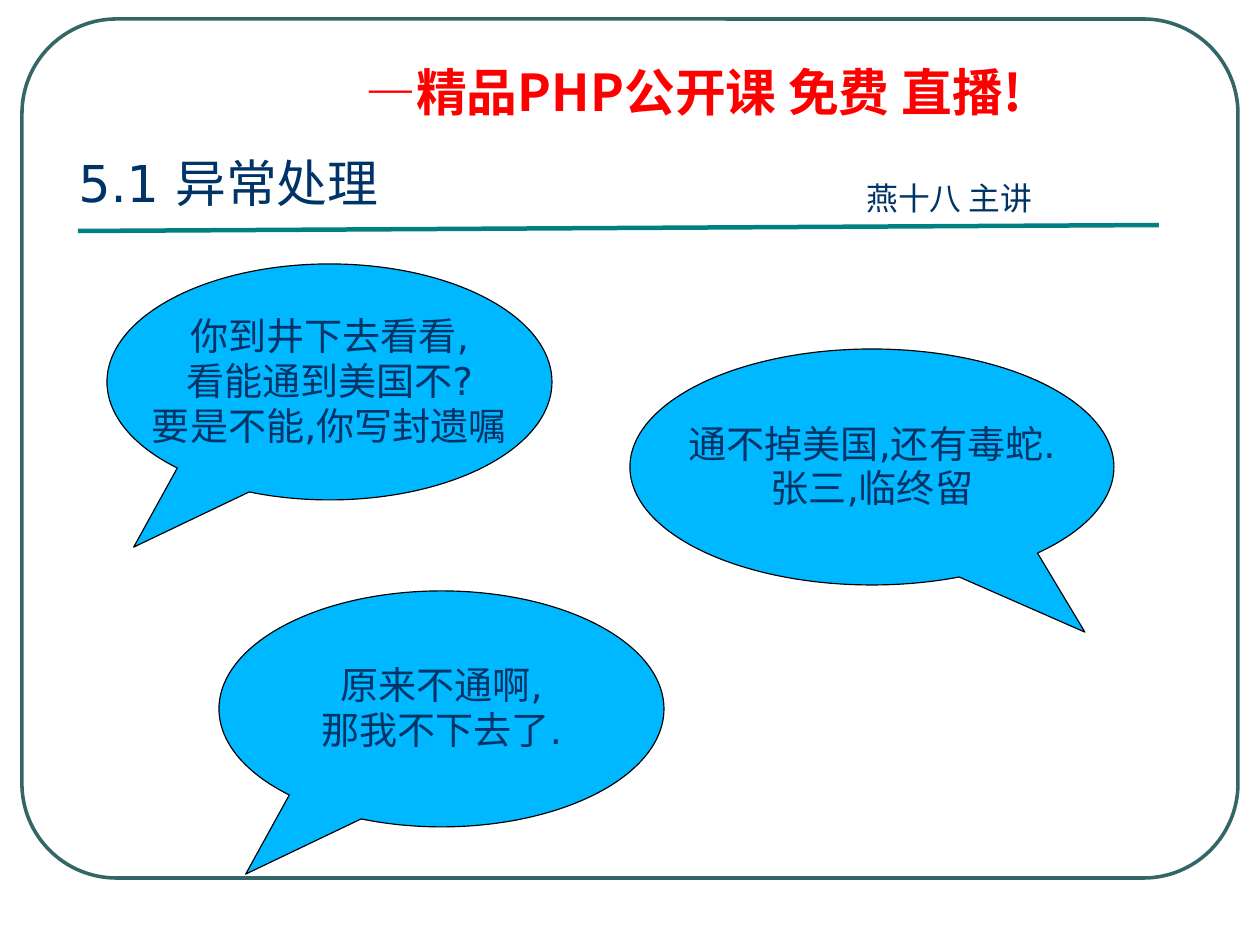
from lxml.etree import SubElement
from pptx import Presentation
from pptx.dml.color import RGBColor
from pptx.enum.shapes import MSO_CONNECTOR as Connector, MSO_SHAPE as Shape
from pptx.enum.text import MSO_ANCHOR as Anchor, PP_ALIGN as Align
from pptx.oxml.ns import qn
from pptx.util import Emu, Pt

PX = 8000  # EMU in one px
LATIN_FONT = "DejaVu Sans"
CHINESE_FONT = "Noto Sans CJK SC"

FRAME_GREEN = RGBColor(0x33, 0x66, 0x66)
RULE_TEAL = RGBColor(0x00, 0x80, 0x80)
BANNER_RED = RGBColor(0xFF, 0x00, 0x00)
TEXT_NAVY = RGBColor(0x00, 0x33, 0x66)
BUBBLE_BLUE = RGBColor(0x00, 0xB8, 0xFF)
BLACK = RGBColor(0x00, 0x00, 0x00)


def px(*lengths):
    return [Emu(length * PX) for length in lengths]


def write_lines(frame, lines, size, font=LATIN_FONT, color=TEXT_NAVY,
                bold=False, align=Align.LEFT, spacing=0.98):
    """Write one paragraph per line, with a Chinese font for Chinese letters."""
    for index, line in enumerate(lines):
        paragraph = frame.add_paragraph() if index else frame.paragraphs[0]
        paragraph.alignment = align
        paragraph.line_spacing = spacing
        run = paragraph.add_run()
        run.text = line
        run.font.size = Pt(size)
        run.font.bold = bold
        run.font.color.rgb = color
        run.font.name = font
        SubElement(run.font._element, qn("a:ea"), typeface=CHINESE_FONT)


def add_text(slide, box, text, size, anchor=Anchor.TOP, **style):
    frame = slide.shapes.add_textbox(*px(*box)).text_frame
    frame.word_wrap = True
    frame.vertical_anchor = anchor
    write_lines(frame, [text], size, **style)


def add_outlined_shape(slide, kind, box, line_color, line_width):
    shape = slide.shapes.add_shape(kind, *px(*box))
    shape.shadow.inherit = False
    shape.fill.background()
    shape.line.color.rgb = line_color
    shape.line.width = Pt(line_width)
    return shape


def add_frame(slide):
    frame = add_outlined_shape(slide, Shape.ROUNDED_RECTANGLE,
                               (22, 19, 1216, 859), FRAME_GREEN, 2.25)
    frame.adjustments[0] = 0.11


def add_rule(slide, start, end):
    rule = slide.shapes.add_connector(Connector.STRAIGHT, *px(*start, *end))
    rule.line.color.rgb = RULE_TEAL
    rule.line.width = Pt(2.83)
    SubElement(rule._element.spPr, qn("a:effectLst"))


def add_bubble(slide, left, top, width, tail_side, lines):
    """Add a speech bubble; tail_side is -1 for left and 1 for right."""
    bubble = add_outlined_shape(slide, Shape.OVAL_CALLOUT,
                                (left, top, width, 236), BLACK, 0.75)
    bubble.fill.solid()
    bubble.fill.fore_color.rgb = BUBBLE_BLUE
    bubble.adjustments[0] = 0.44 * tail_side
    bubble.adjustments[1] = 0.7
    frame = bubble.text_frame
    frame.word_wrap = False
    frame.vertical_anchor = Anchor.MIDDLE
    write_lines(frame, lines, 24, align=Align.CENTER)


def main():
    presentation = Presentation()
    presentation.slide_width, presentation.slide_height = px(1260, 945)
    slide = presentation.slides.add_slide(presentation.slide_layouts[6])

    add_frame(slide)
    add_rule(slide, (78, 231), (1159, 225))
    add_text(slide, (354, 62, 788, 66), "—精品PHP公开课 免费 直播!", 32,
             font=CHINESE_FONT, color=BANNER_RED, bold=True, spacing=0.9)
    add_text(slide, (855, 175, 213, 49), "燕十八 主讲", 20, font=CHINESE_FONT)
    add_text(slide, (67, 142, 1130, 85), "5.1 异常处理", 32, Anchor.MIDDLE)

    add_bubble(slide, 107, 264, 445, -1,
               ["你到井下去看看,", "看能通到美国不?", "要是不能,你写封遗嘱"])
    add_bubble(slide, 630, 349, 484, 1,
               ["通不掉美国,还有毒蛇.", "张三,临终留"])
    add_bubble(slide, 219, 591, 445, -1,
               ["原来不通啊,", "那我不下去了."])

    presentation.save("out.pptx")


if __name__ == "__main__":
    main()
